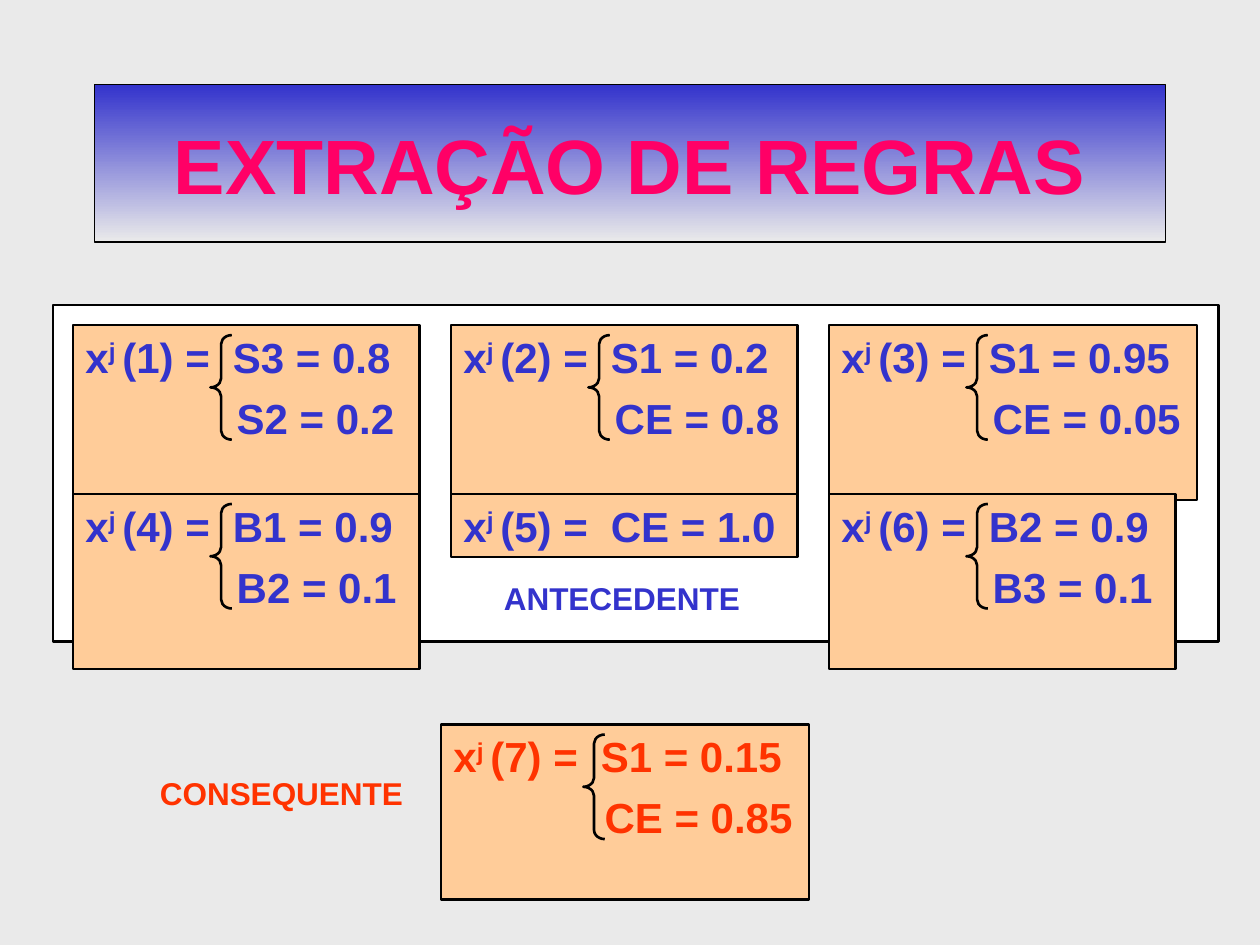
from typing import NamedTuple

from pptx import Presentation
from pptx import util as u
from pptx.dml.color import RGBColor
from pptx.enum import shapes, text
from pptx.shapes.base import BaseShape

COLORS = {
    "background": "EAEAEA",
    "blue": "3333CC",
    "pink": "FF0066",
    "red": "FF3300",
    "peach": "FFCC99",
    "white": "FFFFFF",
    "black": "000000",
}
COLUMNS = [0.58, 3.58, 6.58]
ROWS = [2.58, 3.92]


class Rule(NamedTuple):
    number: int
    left: float
    top: float
    terms: list[str]
    width: float = 2.75
    color: str = "blue"
    brace_offset: float = 1.09


class Label(NamedTuple):
    text: str
    left: float
    top: float
    color: str
    width: float = 2.15


ANTECEDENT_RULES = [
    Rule(1, COLUMNS[0], ROWS[0], ["S3 = 0.8", "S2 = 0.2"]),
    Rule(2, COLUMNS[1], ROWS[0], ["S1 = 0.2", "CE = 0.8"]),
    Rule(3, COLUMNS[2], ROWS[0], ["S1 = 0.95", "CE = 0.05"], width=2.92),
    Rule(4, COLUMNS[0], ROWS[1], ["B1 = 0.9", "B2 = 0.1"]),
    Rule(5, COLUMNS[1], ROWS[1], ["CE = 1.0"]),
    Rule(6, COLUMNS[2], ROWS[1], ["B2 = 0.9", "B3 = 0.1"]),
]
CONSEQUENT_RULE = Rule(7, 3.5, 5.75, ["S1 = 0.15", "CE = 0.85"], 2.92, "red", 1.13)
ANTECEDENT_LABEL = Label("ANTECEDENTE", 3.9, 4.55, "blue")
CONSEQUENT_LABEL = Label("CONSEQUENTE", 1.17, 6.09, "red")


def rgb(name: str) -> RGBColor:
    return RGBColor.from_string(COLORS[name])


def set_font(paragraph, size: float, color: str) -> None:
    font = paragraph.font
    font.name, font.size, font.bold = "Arial", u.Pt(size), True
    font.color.rgb = rgb(color)


def add_outlined(parent, kind, left: float, top: float, width: float, height: float,
                 fill: str | None = None, line_width: float = 1.5) -> BaseShape:
    """Add a preset shape with a black outline; no fill name leaves it hollow."""
    shape = parent.add_shape(kind, *map(u.Inches, (left, top, width, height)))
    shape.shadow.inherit = False
    shape.line.color.rgb = rgb("black")
    shape.line.width = u.Pt(line_width)
    if fill:
        shape.fill.solid()
        shape.fill.fore_color.rgb = rgb(fill)
    else:
        shape.fill.background()
    return shape


def add_title(parent) -> None:
    shape = add_outlined(parent, shapes.MSO_SHAPE.RECTANGLE, 0.75, 0.67, 8.5, 1.25,
                         line_width=0.75)
    shape.fill.gradient()
    shape.fill.gradient_angle = 270
    for stop, color in zip(shape.fill.gradient_stops, ("blue", "background")):
        stop.color.rgb = rgb(color)
    shape.text_frame.vertical_anchor = text.MSO_ANCHOR.MIDDLE
    paragraph = shape.text_frame.paragraphs[0]
    paragraph.text = "EXTRAÇÃO DE REGRAS"
    paragraph.alignment = text.PP_ALIGN.CENTER
    set_font(paragraph, 44, "pink")


def add_tab_stop(paragraph, position: float) -> None:
    properties = paragraph._p.get_or_add_pPr()
    tabs = properties.makeelement(
        "{http://schemas.openxmlformats.org/drawingml/2006/main}tabLst", {})
    tabs.append(tabs.makeelement(
        "{http://schemas.openxmlformats.org/drawingml/2006/main}tab",
        {"pos": str(u.Inches(position)), "algn": "l"}))
    properties.append(tabs)


def add_rule(parent, rule: Rule) -> None:
    """Add a rule box, with a brace when it groups several terms."""
    grouped = len(rule.terms) > 1
    box = add_outlined(parent, shapes.MSO_SHAPE.RECTANGLE, rule.left, rule.top,
                       rule.width, 1.39 if grouped else 0.5, "peach")
    frame = box.text_frame
    frame.word_wrap = True
    frame.vertical_anchor = text.MSO_ANCHOR.TOP

    first = frame.paragraphs[0]
    first.alignment = text.PP_ALIGN.LEFT
    add_tab_stop(first, 1.17)
    set_font(first, 24, rule.color)
    first.add_run().text = "x"
    superscript = first.add_run()
    superscript.text = "j "
    superscript.font._element.set("baseline", "30000")
    first.add_run().text = f"({rule.number}) =\t{rule.terms[0]}"

    for term in rule.terms[1:]:
        paragraph = frame.add_paragraph()
        paragraph.text = term
        paragraph.alignment = text.PP_ALIGN.LEFT
        paragraph.space_before = u.Pt(6)
        paragraph._p.get_or_add_pPr().set("marL", str(u.Inches(1.2)))
        set_font(paragraph, 24, rule.color)

    if grouped:
        brace = add_outlined(parent, shapes.MSO_SHAPE.LEFT_BRACE,
                             rule.left + rule.brace_offset, rule.top + 0.08, 0.17, 0.83)
        brace.adjustments[0] = 0.42


def add_label(parent, label: Label) -> None:
    box = parent.add_textbox(*map(u.Inches, (label.left, label.top, label.width, 0.4)))
    box.text_frame.word_wrap = False
    paragraph = box.text_frame.paragraphs[0]
    paragraph.text = label.text
    paragraph.alignment = text.PP_ALIGN.LEFT
    set_font(paragraph, 18, label.color)


def main() -> None:
    presentation = Presentation()
    presentation.slide_width = u.Inches(10)
    presentation.slide_height = u.Inches(7.5)
    slide = presentation.slides.add_slide(presentation.slide_layouts[6])
    slide.background.fill.solid()
    slide.background.fill.fore_color.rgb = rgb("background")

    add_title(slide.shapes)
    add_rule(slide.shapes, CONSEQUENT_RULE)
    add_label(slide.shapes, CONSEQUENT_LABEL)

    antecedent = slide.shapes.add_group_shape().shapes
    add_outlined(antecedent, shapes.MSO_SHAPE.RECTANGLE, 0.42, 2.42, 9.25, 2.67, "white")
    for rule in ANTECEDENT_RULES:
        add_rule(antecedent, rule)
    add_label(antecedent, ANTECEDENT_LABEL)

    presentation.save("out.pptx")


if __name__ == "__main__":
    main()
